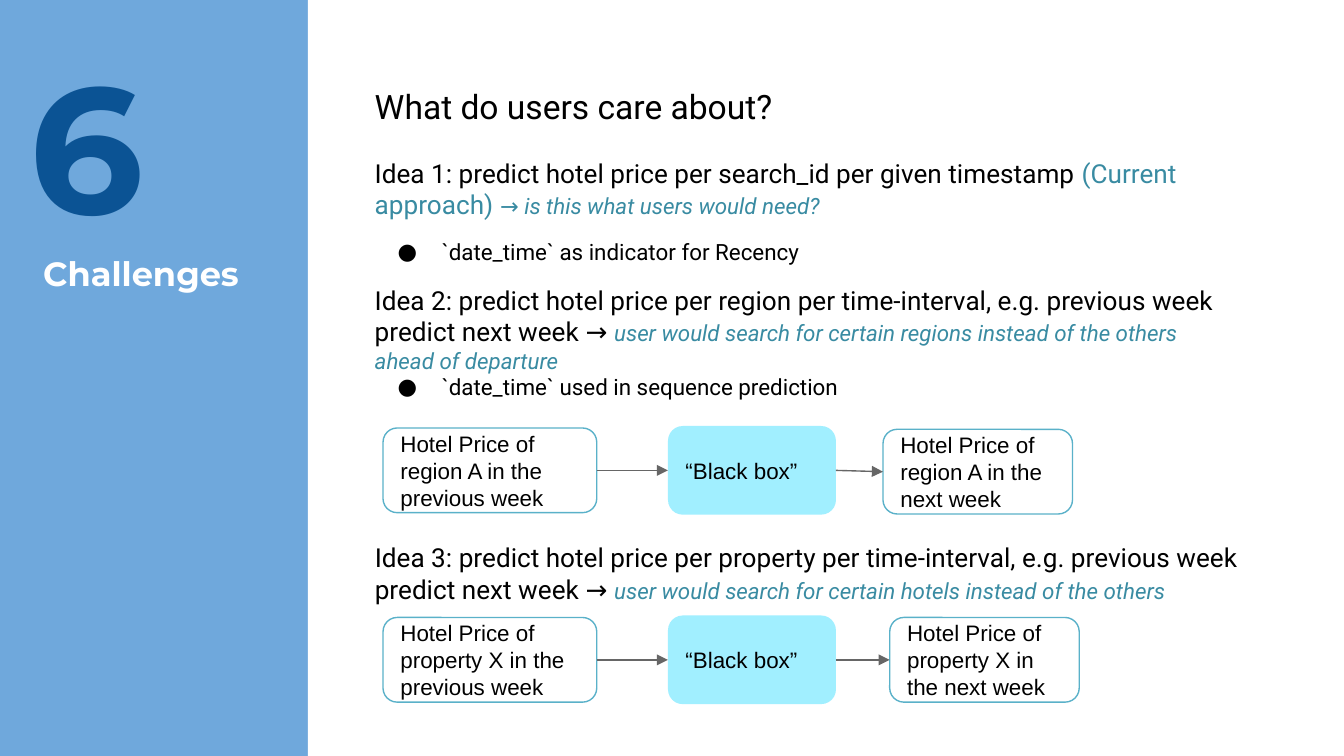
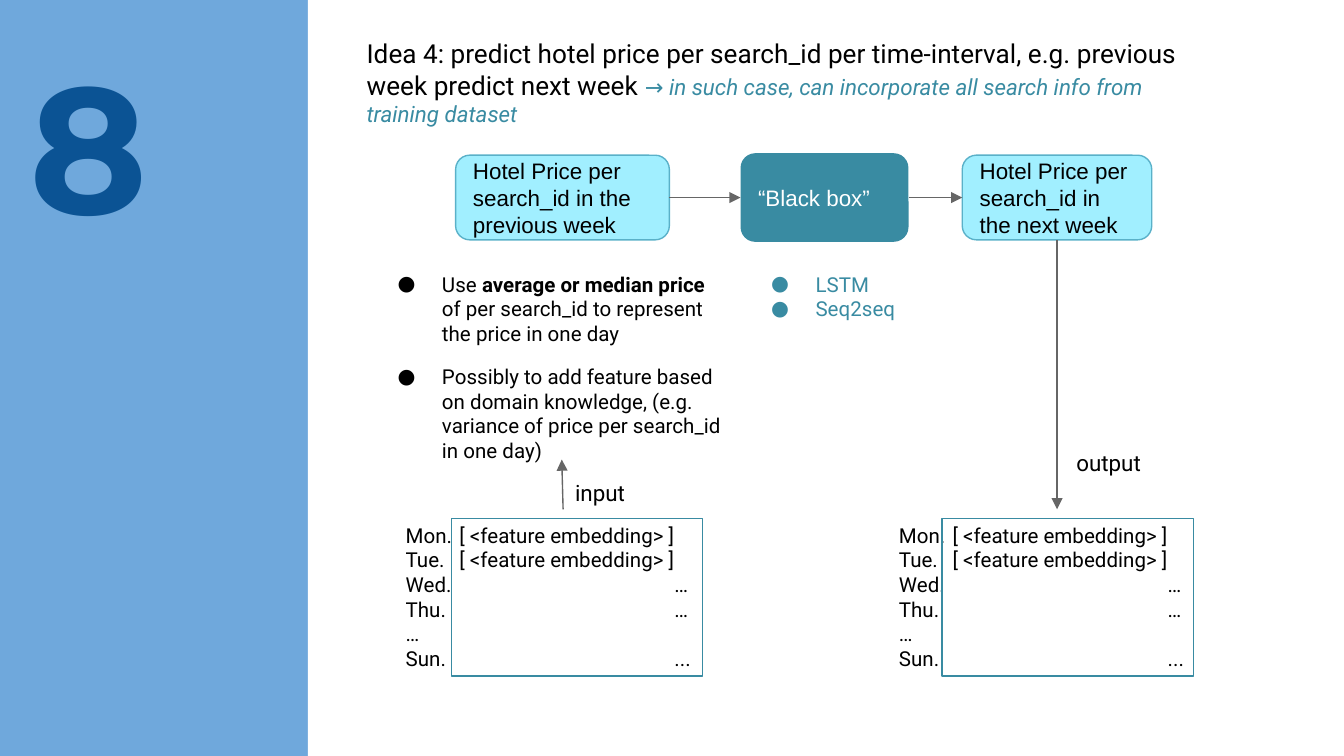
from dataclasses import dataclass
from typing import Optional

from lxml.etree import SubElement
from pptx import Presentation
from pptx.dml.color import RGBColor
from pptx.enum.shapes import MSO_CONNECTOR, MSO_SHAPE
from pptx.enum.text import MSO_ANCHOR, MSO_AUTO_SIZE, PP_ALIGN
from pptx.oxml.ns import qn
from pptx.util import Inches, Pt

COLORS = {
    "band": "6FA8DC",
    "number": "0B5394",
    "white": "FFFFFF",
    "black": "000000",
    "teal": "398BA2",
    "outline": "5AB1C9",
    "cyan": "A1EFFF",
    "arrow": "666666",
}
BODY_FONT, HEAD_FONT, BOX_FONT = "Roboto", "Montserrat", "Arial"
TITLE_ONLY, BLANK = 5, 6
PAGE_WIDTH = 10
PAGE_HEIGHT = PAGE_WIDTH * 9 / 16
BAND_WIDTH = 2.29
STEP_HEIGHT, BLACK_BOX_HEIGHT = 0.63, 0.66


@dataclass
class Span:
    text: str
    size: Optional[float] = None
    color: Optional[str] = None
    bold: Optional[bool] = None
    italic: Optional[bool] = None


@dataclass
class Para:
    spans: list
    size: float = 12
    color: str = "black"
    font: str = BODY_FONT
    bold: bool = False
    bullet: bool = False
    before: float = 0
    tabs: tuple = ()


def rgb(name):
    return RGBColor.from_string(COLORS[name])


def remark(text):
    return Span(text, 12, "teal", italic=True)


# Text
def set_bullet(para, color):
    props = para._p.get_or_add_pPr()
    props.set("marL", str(Inches(0.5)))
    props.set("indent", str(-Inches(0.33)))
    bullet_color = SubElement(props, qn("a:buClr"))
    SubElement(bullet_color, qn("a:srgbClr"), val=COLORS[color])
    SubElement(props, qn("a:buFont"), typeface=BODY_FONT)
    SubElement(props, qn("a:buChar"), char="●")


def set_tabs(para, stops):
    tab_list = SubElement(para._p.get_or_add_pPr(), qn("a:tabLst"))
    for stop in stops:
        SubElement(tab_list, qn("a:tab"), pos=str(Inches(stop)), algn="l")


def fill_text(box, paras, anchor=MSO_ANCHOR.TOP):
    frame = box.text_frame
    frame.word_wrap = True
    frame.auto_size = MSO_AUTO_SIZE.NONE
    frame.vertical_anchor = anchor
    frame.margin_left = frame.margin_right = Inches(0.1)
    frame.margin_top = frame.margin_bottom = Inches(0.1)
    for index, item in enumerate(paras):
        para = frame.add_paragraph() if index else frame.paragraphs[0]
        para.alignment = PP_ALIGN.LEFT
        para.space_before = Pt(item.before)
        if item.bullet:
            set_bullet(para, item.color)
        if item.tabs:
            set_tabs(para, item.tabs)
        para.font.name = item.font
        para.font.size = Pt(item.size)
        para.font.bold = item.bold
        para.font.color.rgb = rgb(item.color)
        for part in item.spans:
            span = para.add_run()
            span.text = part.text
            if part.size:
                span.font.size = Pt(part.size)
            if part.color:
                span.font.color.rgb = rgb(part.color)
            if part.bold:
                span.font.bold = True
            if part.italic:
                span.font.italic = True


def add_text(page, left, top, width, height, paras):
    box = page.shapes.add_textbox(
        Inches(left), Inches(top), Inches(width), Inches(height))
    fill_text(box, paras)


# Shapes and arrows
def add_box(page, kind, left, top, width, height, fill=None, line=None):
    box = page.shapes.add_shape(
        kind, Inches(left), Inches(top), Inches(width), Inches(height))
    box.shadow.inherit = False
    if fill:
        box.fill.solid()
        box.fill.fore_color.rgb = rgb(fill)
    else:
        box.fill.background()
    if line:
        box.line.color.rgb = rgb(line)
        box.line.width = Pt(0.75)
    else:
        box.line.fill.background()
    return box


def add_step(page, left, top, width, height, text, fill, line, color="black"):
    step = add_box(page, MSO_SHAPE.ROUNDED_RECTANGLE,
                   left, top, width, height, fill, line)
    para = Para([Span(text)], color=color, font=BOX_FONT)
    fill_text(step, [para], MSO_ANCHOR.MIDDLE)
    return step


def add_arrow(page, start_x, start_y, end_x, end_y):
    arrow = page.shapes.add_connector(
        MSO_CONNECTOR.STRAIGHT, start_x, start_y, end_x, end_y)
    arrow.line.color.rgb = rgb("arrow")
    arrow.line.width = Pt(0.75)
    SubElement(arrow.line._get_or_add_ln(), qn("a:tailEnd"), type="triangle")
    SubElement(arrow._element.spPr, qn("a:effectLst"))
    return arrow


def join(page, source, target):
    arrow = add_arrow(page, 0, 0, 0, 0)
    arrow.begin_connect(source, 3)
    arrow.end_connect(target, 1)


def add_flow(page, left, top, before, after, after_left, drop=0,
             fill=None, box_fill="cyan", box_color="black"):
    """Draw previous week, black box and next week; return the last."""
    step_top = top + (BLACK_BOX_HEIGHT - STEP_HEIGHT) / 2
    source = add_step(page, left, step_top, 1.59, STEP_HEIGHT, before,
                      fill, "outline")
    black_box = add_step(page, left + 2.12, top, 1.25, BLACK_BOX_HEIGHT,
                         "“Black box”", box_fill, None, box_color)
    target = add_step(page, after_left, step_top + drop, 1.41, STEP_HEIGHT,
                      after, fill, "outline")
    join(page, source, black_box)
    join(page, black_box, target)
    return target


def add_week(page, left):
    """List the days with their feature embeddings."""
    rows = [
        "Mon.\t[ <feature embedding> ]",
        "Tue.\t[ <feature embedding> ]",
        "Wed.\t\t…",
        "Thu.\t\t…",
        "…",
        "Sun.\t\t...",
    ]
    paras = [Para([Span(row)], size=11, tabs=(0.4, 2)) for row in rows]
    add_text(page, left, 3.79, 2.55, 1.43, paras)


# Pages
def add_page(deck, layout, number):
    page = deck.slides.add_slide(deck.slide_layouts[layout])
    page.background.fill.solid()
    page.background.fill.fore_color.rgb = rgb("band")
    add_box(page, MSO_SHAPE.RECTANGLE, BAND_WIDTH, 0,
            PAGE_WIDTH - BAND_WIDTH, PAGE_HEIGHT, "white")
    add_text(page, 0.12, 0.16, 1.98, 1.37, [
        Para([Span(number)], 96, "number", HEAD_FONT, bold=True)])
    return page


def build_challenges(deck):
    page = add_page(deck, TITLE_ONLY, "6")
    title = page.shapes.title
    title.left, title.top = Inches(0.22), Inches(1.78)
    title.width, title.height = Inches(1.87), Inches(0.94)
    fill_text(title, [
        Para([Span("Challenges")], 18, "white", HEAD_FONT, bold=True)])

    add_text(page, 2.69, 0.54, 6.57, 2.75, [
        Para([Span("What do users care about?")], 18),
        Para([Span("Idea 1: predict hotel price per search_id per given "
                   "timestamp "),
              Span("(Current approach) ", color="teal"),
              remark("→ is this what users would need?")], 14, before=16.4),
        Para([Span("`date_time` as indicator for Recency")],
             bullet=True, before=10),
        Para([Span("Idea 2: predict hotel price per region per time-interval, "
                   "e.g. previous week predict next week → "),
              remark("user would search for certain regions instead of the "
                     "others ahead of departure")], 14, before=10),
        Para([Span("`date_time` used in sequence prediction")], bullet=True),
    ])
    add_flow(page, 2.85, 3.17, "Hotel Price of region A in the previous week",
             "Hotel Price of region A in the next week", 6.57, drop=0.01)

    add_text(page, 2.69, 3.93, 6.65, 1.52, [
        Para([Span("Idea 3: predict hotel price per property per "
                   "time-interval, e.g. previous week predict next week → "),
              remark("user would search for certain hotels instead of the "
                     "others")], 14)])
    add_flow(page, 2.85, 4.58, "Hotel Price of property X in the previous week",
             "Hotel Price of property X in the next week", 6.62)


def build_search_idea(deck):
    page = add_page(deck, BLANK, "8")
    add_text(page, 2.63, 0.18, 6.34, 0.36, [
        Para([Span("Idea 4: predict hotel price per search_id per "
                   "time-interval, e.g. previous week predict next week "),
              remark("→ in such case, can incorporate all search info from "
                     "training dataset")], 14)])
    target = add_flow(
        page, 3.39, 1.14, "Hotel Price per search_id in the previous week",
        "Hotel Price per search_id in the next week", 7.16,
        fill="cyan", box_fill="teal", box_color="white")

    # Notes under the flow
    add_text(page, 2.69, 1.92, 2.78, 3.41, [
        Para([Span("Use "), Span("average or median price ", bold=True),
              Span("of per search_id to represent the price in one day")],
             11, bullet=True),
        Para([Span("Possibly to add feature based on domain knowledge, (e.g. "
                   "variance of price per search_id in one day)")],
             11, bullet=True, before=10),
    ])
    add_text(page, 5.47, 1.92, 1.36, 1.09, [
        Para([Span(name)], 11, "teal", bullet=True)
        for name in ("LSTM", "Seq2seq")])

    # Weekly features going in and coming out
    for days_left, frame_left in ((2.92, 3.36), (6.59, 7.01)):
        add_week(page, days_left)
        add_box(page, MSO_SHAPE.RECTANGLE, frame_left, 3.86, 1.87, 1.17,
                line="teal")
    add_arrow(page, Inches(4.19), Inches(3.79), Inches(4.18), Inches(3.42))
    middle = target.left + target.width // 2
    output = add_arrow(page, middle, Inches(1.79), middle, Inches(3.79))
    output.begin_connect(target, 2)
    for label, left, top in (("input", 4.18, 3.47), ("output", 7.91, 3.25)):
        add_text(page, left, top, 0.89, 0.19, [Para([Span(label)])])


def main():
    deck = Presentation()
    deck.slide_width, deck.slide_height = Inches(PAGE_WIDTH), Inches(PAGE_HEIGHT)
    build_challenges(deck)
    build_search_idea(deck)
    deck.save("out.pptx")


if __name__ == "__main__":
    main()
